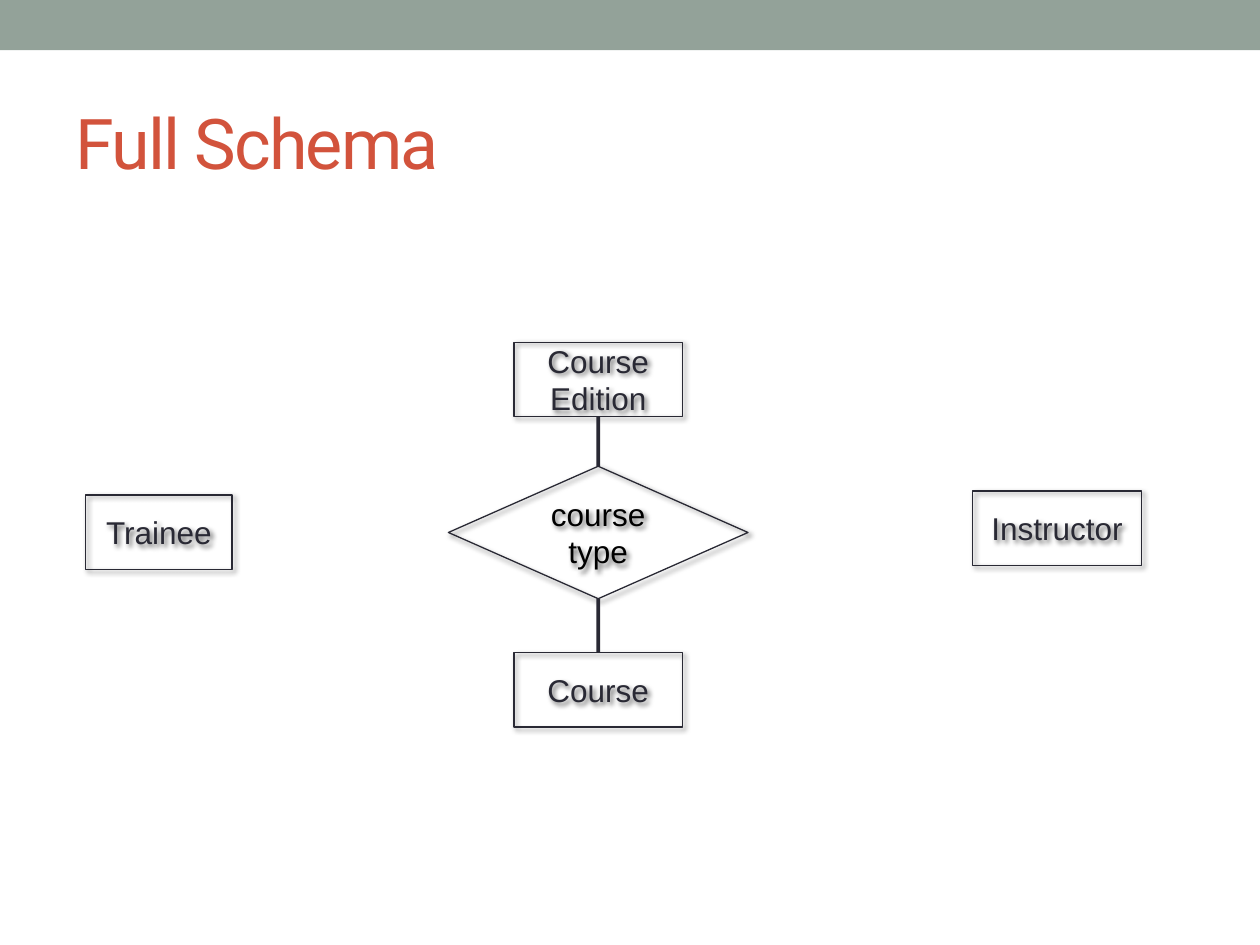
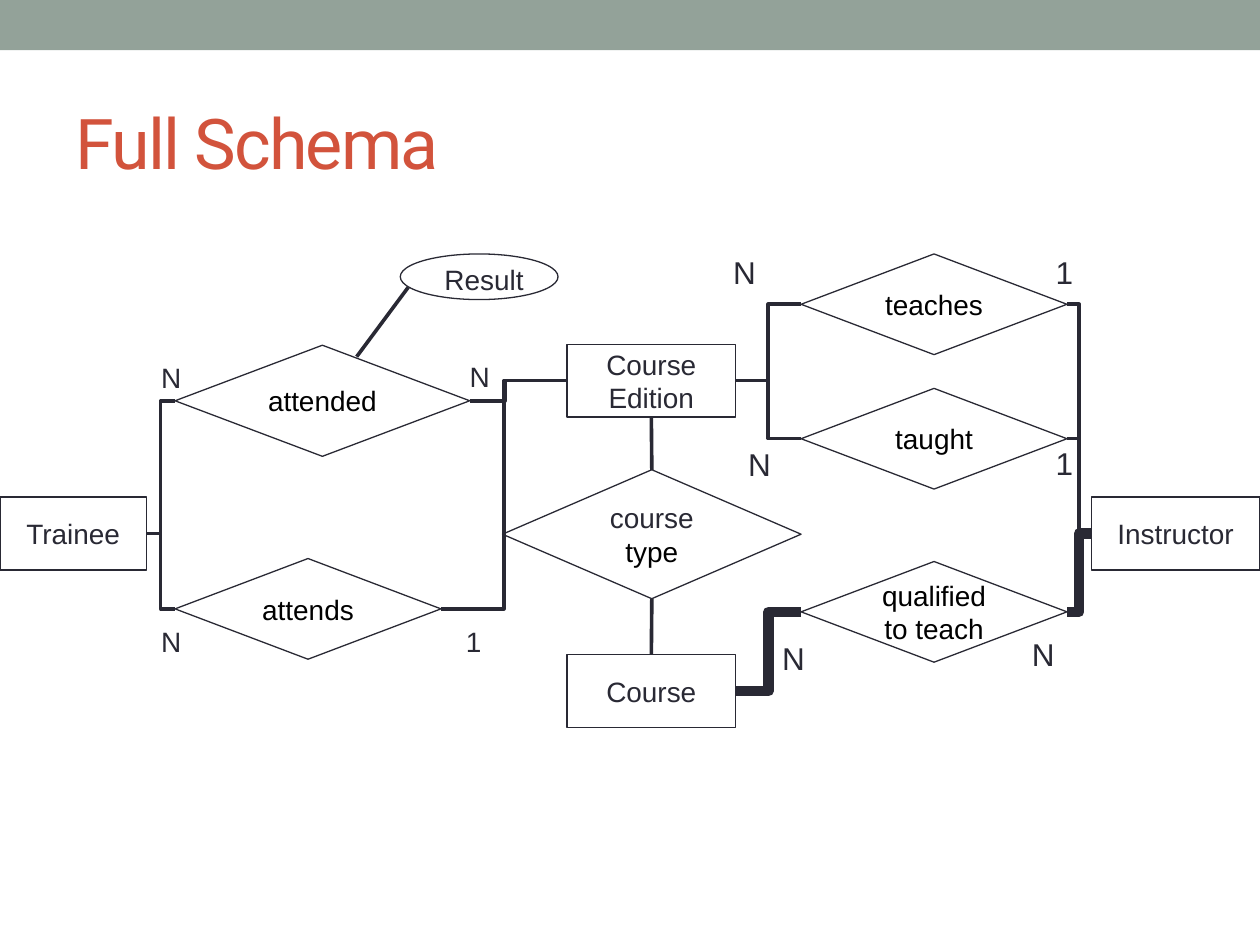
from lxml.etree import SubElement
from pptx import Presentation
from pptx.dml.color import RGBColor
from pptx.enum.shapes import MSO_CONNECTOR as LINE, MSO_SHAPE as SHAPE
from pptx.enum.text import MSO_ANCHOR as ANCHOR, PP_ALIGN as ALIGN
from pptx.oxml.ns import qn
from pptx.util import Cm, Pt

BAND, TITLE, INK, BLACK = "93A299", "D2533C", "292934", "000000"
THIN, NORMAL, THICK = 0.75, 2.08, 6
TOP, LEFT, BOTTOM, RIGHT = range(4)
RECT, DIAMOND = SHAPE.RECTANGLE, SHAPE.DIAMOND

COURSE_LINKS = [
    ("Course Edition", BOTTOM, "course type", TOP),
    ("course type", BOTTOM, "Course", TOP),
]

OUTLINE = {
    "title": "Full Schema", "size": 18, "shadow": True,
    "nodes": [
        (RECT, [("Course", INK)], 10.36, 13.16, 3.4, 1.5),
        (RECT, [("Course Edition", INK)], 10.36, 6.9, 3.4, 1.5),
        (DIAMOND, [("course type", BLACK)], 9.04, 9.4, 6.04, 2.67),
        (RECT, [("Trainee", INK)], 1.73, 9.98, 2.95, 1.5),
        (RECT, [("Instructor", INK)], 19.61, 9.9, 3.4, 1.5),
    ],
    "straight": COURSE_LINKS,
    "bent": [], "labels": [],
}

FULL = {
    "title": "Full Schema", "size": 16, "shadow": False,
    "nodes": [
        (RECT, [("Course", INK)], 11.43, 13.2, 3.4, 1.47),
        (RECT, [("Course Edition", INK)], 11.43, 6.94, 3.4, 1.47),
        (DIAMOND, [("course ", INK), ("type", BLACK)], 10.13, 9.47, 6.02, 2.6),
        (RECT, [("Trainee", INK)], 0, 10.02, 2.95, 1.47),
        (RECT, [("Instructor", INK)], 22, 10.02, 3.4, 1.47),
        (DIAMOND, [("attended", BLACK)], 3.53, 6.96, 5.94, 2.24),
        (DIAMOND, [("attends", BLACK)], 3.53, 11.26, 5.36, 2.03),
        (DIAMOND, [("teaches", BLACK)], 16.15, 5.12, 5.36, 2.03),
        (DIAMOND, [("taught", BLACK)], 16.15, 7.83, 5.36, 2.03),
        (DIAMOND, [("qualified to teach", BLACK)], 16.15, 11.32, 5.36, 2.03),
        (SHAPE.OVAL, [], 8.07, 5.12, 3.18, 0.92),
    ],
    "straight": COURSE_LINKS,
    "bent": [
        ("Trainee", RIGHT, "attended", LEFT, NORMAL, 0.5),
        ("Trainee", RIGHT, "attends", LEFT, NORMAL, 0.5),
        ("attended", RIGHT, "Course Edition", LEFT, NORMAL, 0.36),
        ("attends", RIGHT, "Course Edition", LEFT, NORMAL, 0.5),
        ("Instructor", LEFT, "qualified to teach", RIGHT, THICK, 0.5),
        ("Instructor", LEFT, "taught", RIGHT, NORMAL, 0.5),
        ("Instructor", LEFT, "teaches", RIGHT, NORMAL, 0.5),
        ("teaches", LEFT, "Course Edition", RIGHT, NORMAL, 0.5),
        ("taught", LEFT, "Course Edition", RIGHT, NORMAL, 0.5),
        ("qualified to teach", LEFT, "Course", RIGHT, THICK, 0.5),
    ],
    "labels": [
        ("N", 16, 3, 12.47, 0.91), ("1", 16, 9.14, 12.47, 0.81),
        ("N", 16, 3, 7.14, 0.91), ("N", 16, 9.22, 7.12, 0.91),
        ("Result", 16, 8.71, 5.16, 2.13),
        ("1", 18, 21.03, 4.98, 0.86), ("N", 18, 14.53, 4.98, 0.97),
        ("N", 18, 14.83, 8.84, 0.97), ("1", 18, 21.03, 8.82, 0.86),
        ("N", 18, 15.52, 12.76, 0.97), ("N", 18, 20.55, 12.68, 0.97),
    ],
}
RESULT_LINE = (7.19, 7.19, 8.23, 5.79)


def rgb(hex_color):
    return RGBColor.from_string(hex_color)


def add_run(p, text, size, color, font="Arial"):
    r = p.add_run()
    r.text = text
    r.font.size, r.font.name = Pt(size), font
    r.font.color.rgb = rgb(color)
    return r


def add_frame(s, title):
    band = s.shapes.add_shape(RECT, 0, 0, Cm(25.4), Cm(1.01))
    band.shadow.inherit = False
    band.fill.solid()
    band.fill.fore_color.rgb = rgb(BAND)
    band.line.fill.background()
    tf = s.shapes.add_textbox(Cm(1.27), Cm(1.48), Cm(22.86), Cm(2.75)).text_frame
    tf.word_wrap, tf.vertical_anchor = True, ANCHOR.MIDDLE
    r = add_run(tf.paragraphs[0], title, 40, TITLE, "Roboto")
    r.font._element.set("spc", "-100")


def add_shadow(sp):
    effects = sp._element.spPr.find(qn("a:effectLst"))
    shadow = SubElement(effects, qn("a:outerShdw"), blurRad=str(Pt(3)),
                        dist=str(Pt(2)), dir="2700000", algn="ctr", rotWithShape="0")
    color = SubElement(shadow, qn("a:srgbClr"), val=BLACK)
    SubElement(color, qn("a:alpha"), val="60000")


def add_node(s, kind, runs, box, size, shadow):
    sp = s.shapes.add_shape(kind, *map(Cm, box))
    sp.shadow.inherit = False
    sp.fill.background()
    sp.line.color.rgb, sp.line.width = rgb(INK), Pt(THIN)
    if shadow:
        add_shadow(sp)
    tf = sp.text_frame
    tf.word_wrap, tf.vertical_anchor = True, ANCHOR.MIDDLE
    p = tf.paragraphs[0]
    p.alignment = ALIGN.CENTER
    for text, color in runs:
        add_run(p, text, size, color)
    return sp


def add_line(s, kind, ends=(0, 0, 0, 0), width=NORMAL):
    line = s.shapes.add_connector(kind, *map(Cm, ends))
    line.line.color.rgb, line.line.width = rgb(INK), Pt(width)
    SubElement(line._element.spPr, qn("a:effectLst"))
    return line


def link(s, nodes, kind, start, start_side, end, end_side, width=NORMAL, bend=0.5):
    line = add_line(s, kind, width=width)
    line.begin_connect(nodes[start], start_side)
    line.end_connect(nodes[end], end_side)
    if bend != 0.5:
        guides = line._element.spPr.find(qn("a:prstGeom")).find(qn("a:avLst"))
        SubElement(guides, qn("a:gd"), name="adj1", fmla=f"val {round(bend * 100000)}")


def add_label(s, text, size, x, y, w):
    tf = s.shapes.add_textbox(Cm(x), Cm(y), Cm(w), Cm(0.94 if size == 16 else 1.02)).text_frame
    tf.word_wrap = False
    add_run(tf.paragraphs[0], text, size, INK)


def add_schema(prs, schema):
    s = prs.slides.add_slide(prs.slide_layouts[6])
    add_frame(s, schema["title"])
    nodes = {}
    for kind, runs, *box in schema["nodes"]:
        name = "".join(text for text, _ in runs)
        nodes[name] = add_node(s, kind, runs, box, schema["size"], schema["shadow"])
    for ends in schema["straight"]:
        link(s, nodes, LINE.STRAIGHT, *ends)
    for ends in schema["bent"]:
        link(s, nodes, LINE.ELBOW, *ends)
    for label in schema["labels"]:
        add_label(s, *label)
    return s


def main():
    prs = Presentation()
    prs.slide_width, prs.slide_height = Cm(25.4), Cm(19.05)
    add_schema(prs, OUTLINE)
    full = add_schema(prs, FULL)
    add_line(full, LINE.STRAIGHT, RESULT_LINE)
    prs.save("out.pptx")


if __name__ == "__main__":
    main()
